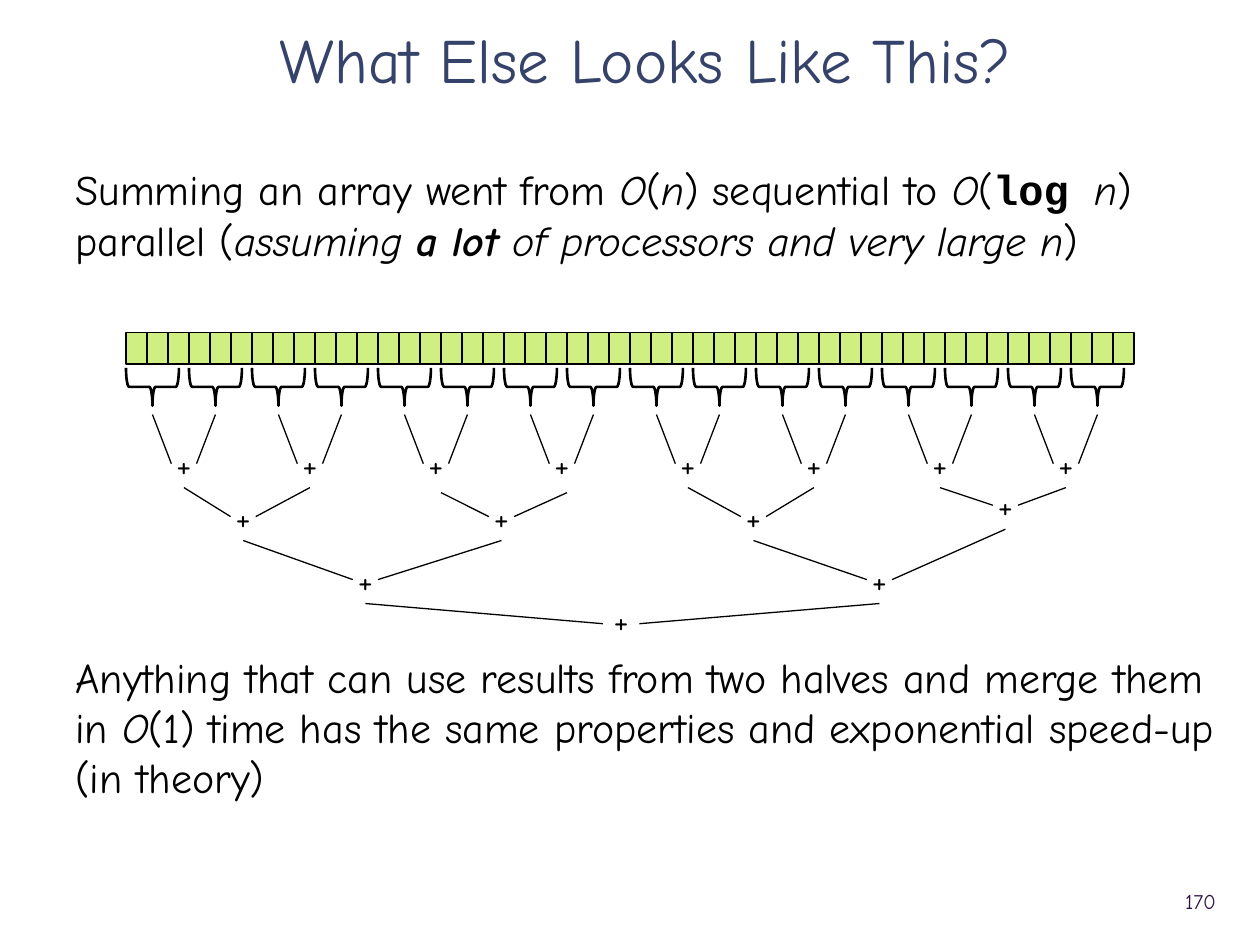
from lxml import etree
from pptx import Presentation
from pptx import util as u
from pptx.dml.color import RGBColor
from pptx.enum import shapes, text
from pptx.oxml import ns

# Content
TITLE = "What Else Looks Like This?"
PAGE_NUMBER = "170"
# Each paragraph: space before in points, then (wording, style) spans
BODY = [
    (0, [
        ("Summing an array went from ", ""), ("O", "i"), ("(", ""), ("n", "i"),
        (") sequential to ", ""), ("O", "i"), ("(", ""), ("log ", "code"),
        ("n", "i"), (") parallel (", ""), ("assuming ", "i"), ("a lot", "bi"),
        (" of processors and very large n", "i"), (")", ""),
    ]),
    (221, [
        ("Anything that can use results from two halves and merge them in ", ""),
        ("O", "i"),
        ("(1) time has the same properties and exponential speed-up (in theory)", ""),
    ]),
]
COLORS = {"title": "35436A", "ink": "000000", "number": "2F1343", "cell": "D0EF82"}
FONT, CODE_FONT = "Comic Neue", "Courier New"

# Array and braces
CELLS, CELL_W, CELL_H, ARRAY_X, ARRAY_Y = 48, 1 / 6, 0.25, 1, 2.64
BRACES, BRACE_STEP, BRACE_X, BRACE_Y = 16, 0.5, 1.21, 3.07
BRACE_W, BRACE_H = 0.3, 0.42
LEAF_Y = 3.29

# Levels of sums: (centre x, top) of each plus sign
PLUS_W, PLUS_H = 0.2, 0.38
LEVELS = [
    [(1.46 + i, 3.49) for i in range(8)],
    [(1.93, 3.91), (3.98, 3.91), (5.98, 3.91), (7.98, 3.82)],
    [(2.9, 4.41), (6.98, 4.41)],
    [(4.93, 4.73)],
]
BRANCH_SHIFT = {(3.98, 3.91): 0.04}  # branches that begin right of and below their sums
ROOT_GAP, ROOT_DROP = 0.145, 0.03    # wider, lower branch ends at the last sum


def color(name):
    return RGBColor.from_string(COLORS[name])


def style(span, size, ink="ink", look=""):
    font = span.font
    font.name = CODE_FONT if look == "code" else FONT
    font.size = u.Pt(size)
    font.bold = look in ("code", "bi")
    font.italic = look in ("i", "bi")
    font.color.rgb = color(ink)


def add_text(page, x, y, w, h):
    box = page.shapes.add_textbox(*map(u.Inches, (x, y, w, h)))
    box.text_frame.word_wrap = True
    return box.text_frame


def add_outline(page, kind, x, y, w, h, weight, fill=None):
    shape = page.shapes.add_shape(kind, *map(u.Inches, (x, y, w, h)))
    shape.shadow.inherit = False
    if fill:
        shape.fill.solid()
        shape.fill.fore_color.rgb = color(fill)
    else:
        shape.fill.background()
    shape.line.color.rgb = color("ink")
    shape.line.width = u.Pt(weight)
    return shape


def add_branch(page, *ends):
    branch = page.shapes.add_connector(shapes.MSO_CONNECTOR.STRAIGHT, *map(u.Inches, ends))
    branch.line.color.rgb = color("ink")
    branch.line.width = u.Pt(0.75)
    etree.SubElement(branch._element.spPr, ns.qn("a:effectLst"))


def add_plus(page, x, top):
    frame = add_text(page, x - PLUS_W / 2, top, PLUS_W, PLUS_H)
    frame.word_wrap = False
    frame.margin_left = frame.margin_right = u.Inches(0.03)
    frame.margin_top = frame.margin_bottom = u.Inches(0.02)
    para = frame.paragraphs[0]
    para.text = "+"
    para.alignment = text.PP_ALIGN.CENTER
    style(para.runs[0], 20)


def add_tree(page):
    starts = [(BRACE_X + i * BRACE_STEP, LEAF_Y) for i in range(BRACES)]
    for level in LEVELS:
        is_root = len(level) == 1
        gap = ROOT_GAP if is_root else PLUS_W / 2
        drop = ROOT_DROP if is_root else 0
        for i, (x, top) in enumerate(level):
            shift = BRANCH_SHIFT.get((x, top), 0)
            for side, (from_x, from_y) in zip((-1, 1), starts[2 * i:2 * i + 2]):
                add_branch(page, from_x + shift, from_y + shift,
                           x + side * gap, top + PLUS_H / 2 + drop)
            add_plus(page, x, top)
        starts = [(x, top + PLUS_H) for x, top in level]


def main():
    deck = Presentation()
    deck.slide_width, deck.slide_height = u.Inches(10), u.Inches(7.5)
    page = deck.slides.add_slide(deck.slide_layouts[5])

    # Title
    title = page.shapes.title
    title.left, title.top, title.width, title.height = map(u.Inches, (0.5, 0.17, 9.25, 0.53))
    title.text_frame.text = TITLE
    title.text_frame.vertical_anchor = text.MSO_ANCHOR.MIDDLE
    para = title.text_frame.paragraphs[0]
    para.alignment = text.PP_ALIGN.CENTER
    para.line_spacing = 1.1
    style(para.runs[0], 36, "title")

    # Body, with room for the diagram between its paragraphs
    frame = add_text(page, 0.5, 1.25, 9.25, 6)
    for i, (space, spans) in enumerate(BODY):
        para = frame.add_paragraph() if i else frame.paragraphs[0]
        para.space_before = u.Pt(space)
        for words, look in spans:
            span = para.add_run()
            span.text = words
            style(span, 24, look=look)

    # Page number
    frame = add_text(page, 8.89, 6.95, 0.86, 0.4)
    frame.vertical_anchor = text.MSO_ANCHOR.MIDDLE
    para = frame.paragraphs[0]
    para.text = PAGE_NUMBER
    para.alignment = text.PP_ALIGN.RIGHT
    style(para.runs[0], 12, "number")

    # Array cells
    for i in range(CELLS):
        add_outline(page, shapes.MSO_SHAPE.RECTANGLE, ARRAY_X + i * CELL_W, ARRAY_Y,
                    CELL_W, CELL_H, 0.75, "cell")

    # Braces, turned to point down
    for i in range(BRACES):
        x = BRACE_X + i * BRACE_STEP
        brace = add_outline(page, shapes.MSO_SHAPE.LEFT_BRACE, x - BRACE_W / 2,
                            BRACE_Y - BRACE_H / 2, BRACE_W, BRACE_H, 1.5)
        brace.rotation = 270

    # Tree of sums
    add_tree(page)
    deck.save("out.pptx")


if __name__ == "__main__":
    main()
